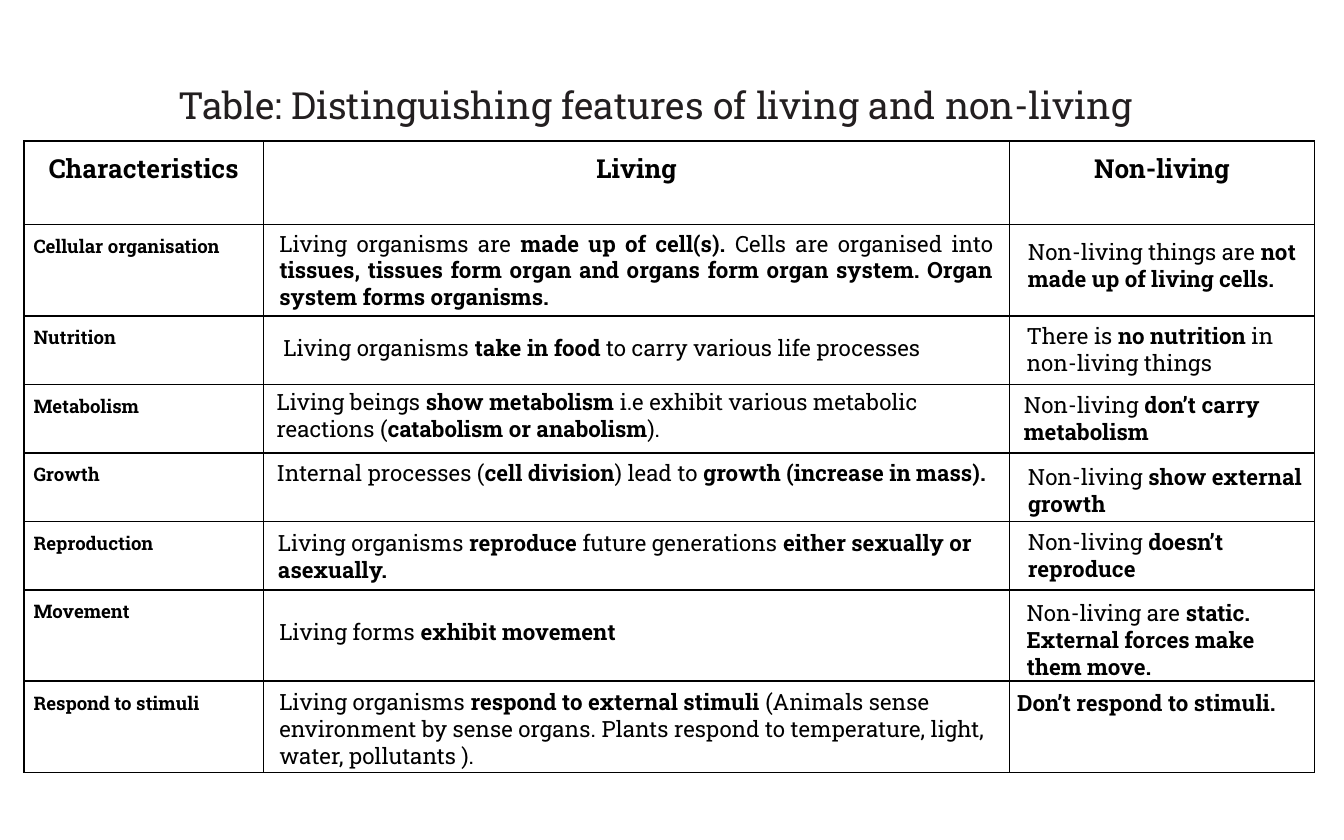
from lxml import etree
from pptx import Presentation
from pptx import util as u
from pptx.dml.color import RGBColor
from pptx.enum import text
from pptx.oxml.ns import qn

FONT = "Roboto Slab"
BLACK = "000000"
LEFT, CENTER, JUSTIFY = (text.PP_ALIGN.LEFT, text.PP_ALIGN.CENTER,
                         text.PP_ALIGN.JUSTIFY)
COLUMNS = [1.78, 5.55, 2.27]
ROWS = [0.62, 0.68, 0.51, 0.51, 0.51, 0.51, 0.68, 0.68]
HEADERS = ["Characteristics", "Living", "Non-living"]
CHARACTERISTICS = ["Cellular organisation", "Nutrition", "Metabolism", "Growth",
                   "Reproduction", "Movement", "Respond to stimuli"]

# Left, top, width, height, text; ** switches bold on and off
LIVING = [
    (1.98, 1.66, 5.51, 0.71, "Living organisms are **made up of cell(s). **Cells are "
     "organised into **tissues, tissues form organ and organs form organ system. "
     "Organ system forms organisms."),
    (2.01, 2.44, 5.48, 0.3, "Living organisms **take in food **to carry various "
     "life processes"),
    (1.96, 2.84, 5.54, 0.5, "Living beings **show metabolism **i.e exhibit various "
     "metabolic reactions (**catabolism or anabolism**)."),
    (1.96, 3.37, 5.55, 0.5, "Internal processes (**cell division**) lead to "
     "**growth (increase in mass)."),
    (1.97, 3.89, 5.54, 0.5, "Living organisms **reproduce** future generations "
     "**either sexually or asexually."),
    (1.98, 4.55, 5.53, 0.3, "Living forms **exhibit movement"),
    (1.98, 5.07, 5.54, 0.71, "Living organisms **respond to external stimuli **"
     "(Animals sense environment by sense organs. Plants respond to temperature, "
     "light, water, pollutants )."),
]
NON_LIVING = [
    (7.55, 1.72, 2.19, 0.71, "Non-living things are **not made up of living cells."),
    (7.54, 2.35, 2.22, 0.5, "There is **no nutrition **in non-living things"),
    (7.52, 2.86, 2.27, 0.5, "Non-living **don’t carry metabolism"),
    (7.55, 3.4, 2.43, 0.5, "Non-living **show external growth"),
    (7.55, 3.88, 2.21, 0.5, "Non-living **doesn’t reproduce"),
    (7.54, 4.41, 2.23, 0.71, "Non-living are **static. External forces make them move."),
    (7.47, 5.08, 2.43, 0.3, "**Don’t respond to stimuli."),
]


def rgb(color):
    return RGBColor.from_string(color)


def write(tf, words, size=12, color=BLACK, align=LEFT):
    """Fill the first paragraph; ** in the words switches bold on and off."""
    p = tf.paragraphs[0]
    p.alignment = align
    for i, part in enumerate(words.split("**")):
        if part:
            r = p.add_run()
            r.text = part
            r.font.name, r.font.size = FONT, u.Pt(size)
            r.font.bold = i % 2 == 1
            r.font.color.rgb = rgb(color)


def add_text(s, box, words, anchor=text.MSO_ANCHOR.TOP, **fmt):
    tf = s.shapes.add_textbox(*map(u.Inches, box)).text_frame
    tf.word_wrap = True
    tf.auto_size = text.MSO_AUTO_SIZE.SHAPE_TO_FIT_TEXT
    tf.vertical_anchor = anchor
    write(tf, words, **fmt)


def add_borders(cell, color=BLACK, width=1):
    tcPr = cell._tc.get_or_add_tcPr()
    for i, side in enumerate(("lnL", "lnR", "lnT", "lnB")):
        ln = etree.Element(qn(f"a:{side}"), w=str(u.Pt(width)))
        fill = etree.SubElement(ln, qn("a:solidFill"))
        etree.SubElement(fill, qn("a:srgbClr"), val=color)
        tcPr.insert(i, ln)


def add_grid(s, box):
    table = s.shapes.add_table(len(ROWS), len(COLUMNS), *map(u.Inches, box)).table
    table.first_row = table.horz_banding = False
    for column, width in zip(table.columns, COLUMNS):
        column.width = u.Inches(width)
    for row, height in zip(table.rows, ROWS):
        row.height = u.Inches(height)
    for cell in table.iter_cells():
        cell.fill.background()
        cell.margin_left = cell.margin_right = u.Inches(0.07)
        cell.margin_top = cell.margin_bottom = u.Inches(0.07)
        add_borders(cell)
    for i, header in enumerate(HEADERS):
        write(table.cell(0, i).text_frame, "**" + header, size=14, align=CENTER)
    for i, name in enumerate(CHARACTERISTICS, 1):
        write(table.cell(i, 0).text_frame, "**" + name, size=10,
              align=JUSTIFY if i == 1 else LEFT)


def add_descriptions(s, column):
    for i, (*box, words) in enumerate(column):
        add_text(s, box, words, align=JUSTIFY if i == 0 else LEFT)


def main():
    prs = Presentation()
    prs.slide_width, prs.slide_height = u.Inches(10), u.Inches(6.25)
    s = prs.slides.add_slide(prs.slide_layouts[6])
    add_text(s, (0.34, 0.56, 9.08, 0.44),
             "Table: Distinguishing features of living and non-living",
             anchor=text.MSO_ANCHOR.MIDDLE, size=20, color="231F20", align=CENTER)
    add_grid(s, (0.18, 1.05, sum(COLUMNS), sum(ROWS)))
    add_descriptions(s, LIVING)
    add_descriptions(s, NON_LIVING)
    prs.save("out.pptx")


if __name__ == "__main__":
    main()
